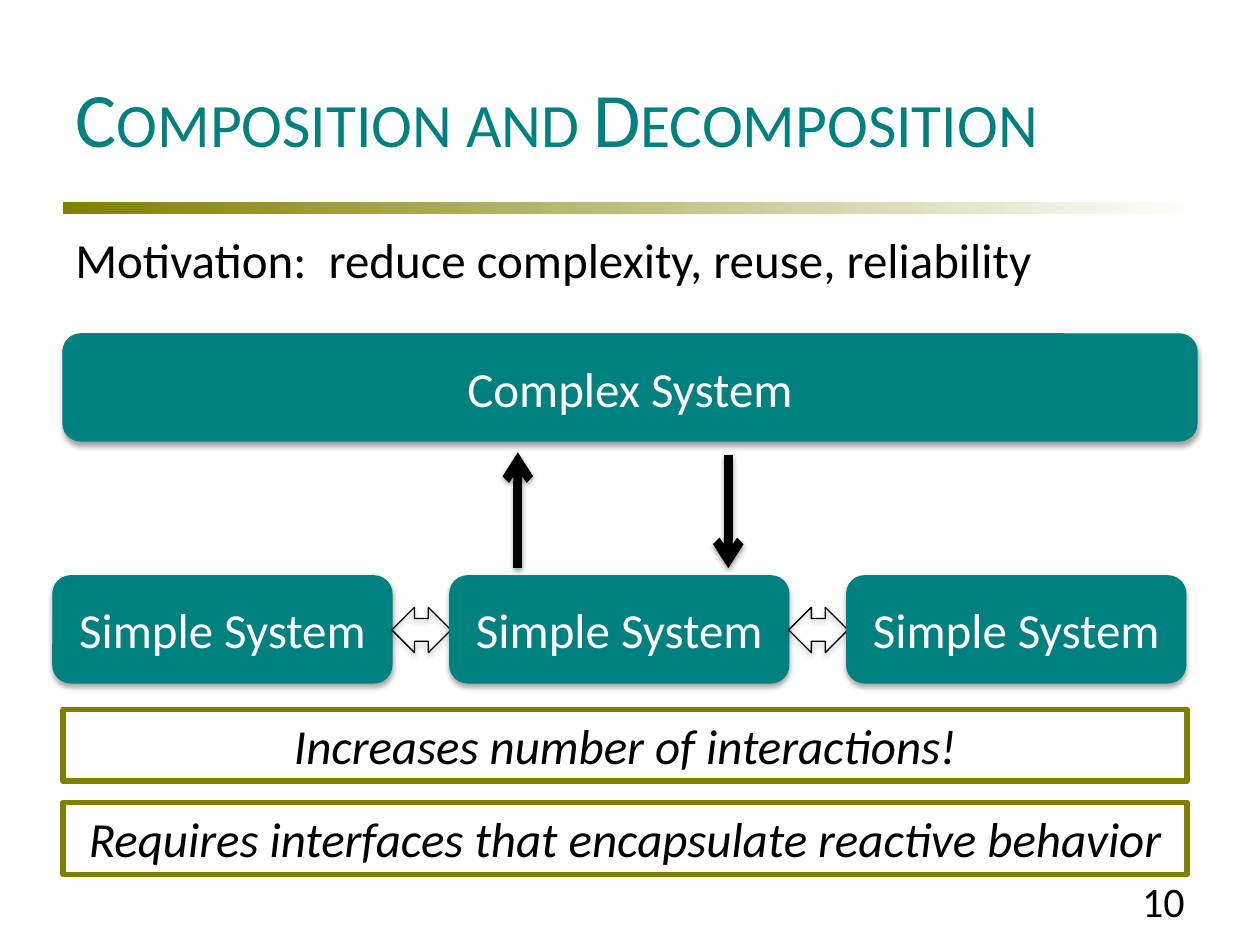
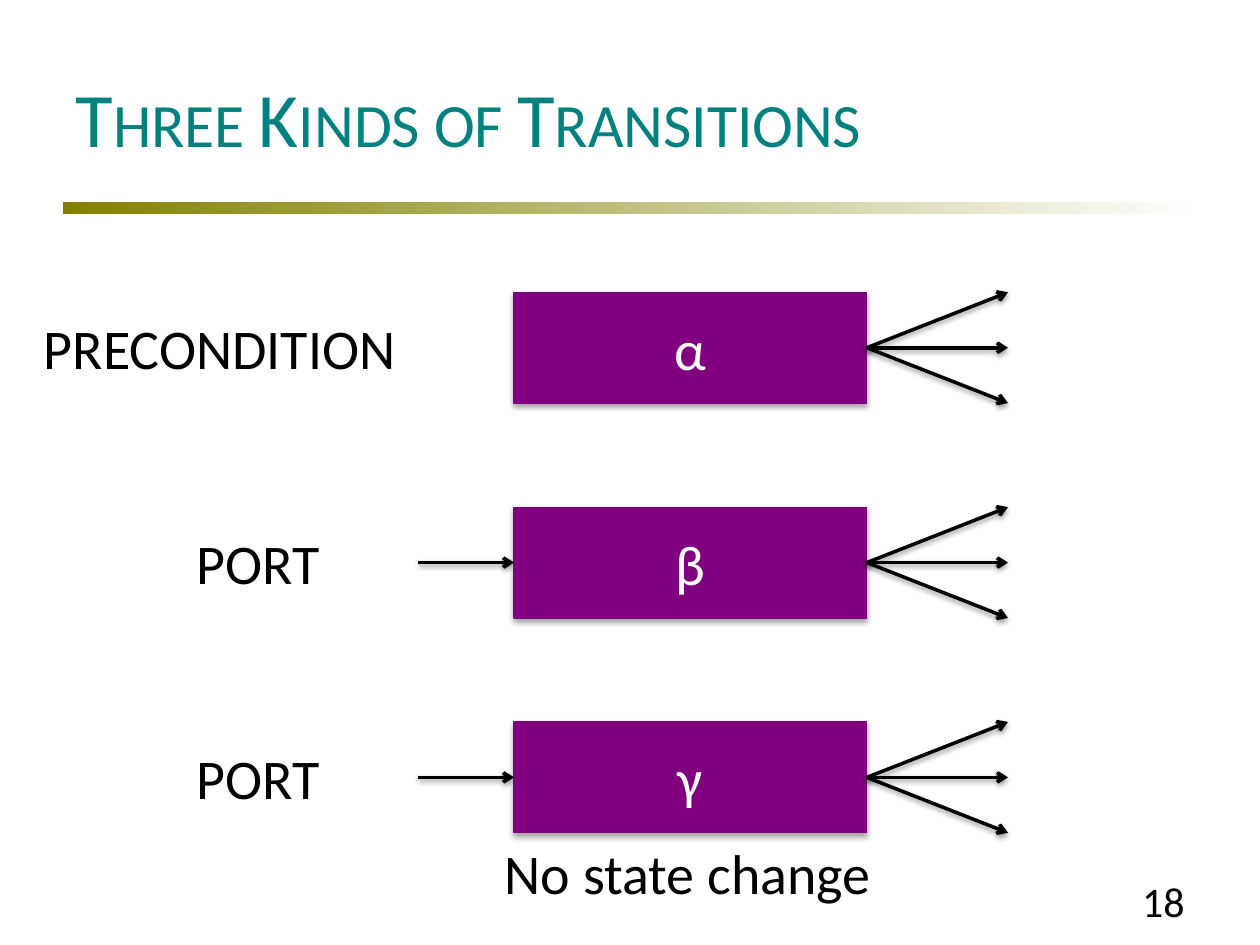
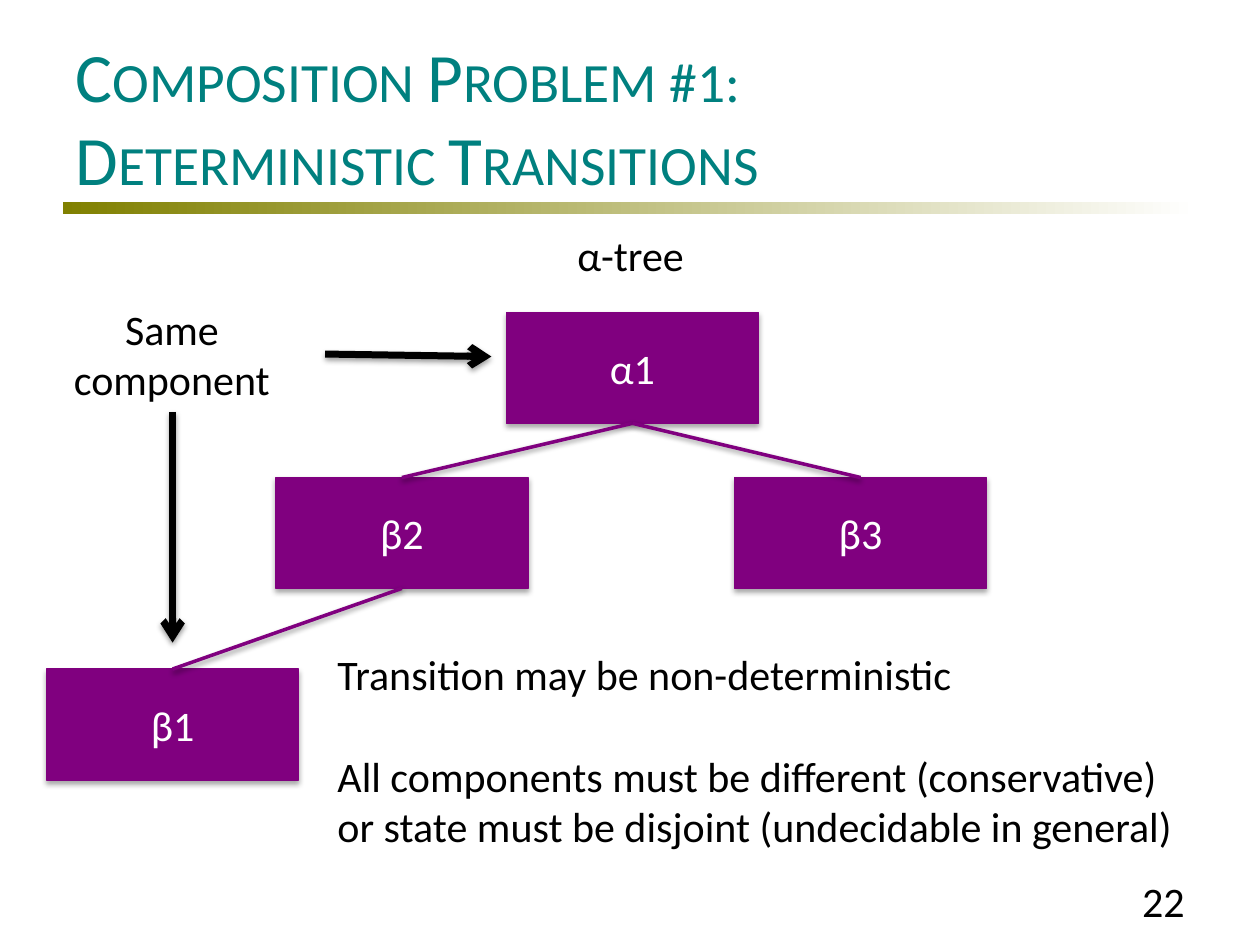
import pptx
import pptx.util
import pptx.dml.color
import pptx.enum.shapes
import pptx.enum.text
import pptx.oxml.ns
import lxml.etree

Inches = pptx.util.Inches
Pt = pptx.util.Pt
RGB = pptx.dml.color.RGBColor.from_string
qn = pptx.oxml.ns.qn
SHAPE = pptx.enum.shapes.MSO_SHAPE
ALIGN = pptx.enum.text.PP_ALIGN
ANCHOR = pptx.enum.text.MSO_ANCHOR

COLORS = {"teal": "00807F", "olive": "808000", "purple": "80007F",
          "black": "000000", "white": "FFFFFF"}
FONT = "Calibri"
TOP, LEFT, BOTTOM, RIGHT = range(4)


def add_box(slide, at, text="", size=24, kind=None, fill=None, border=None, border_width=0.75,
            color="black", align=ALIGN.CENTER, anchor=ANCHOR.TOP, italic=False,
            shadow=False, gap=0):
    """Add a text box, or a preset shape when a kind is given."""
    place = [Inches(length) for length in at]
    if kind is None:
        box = slide.shapes.add_textbox(*place)
    else:
        box = slide.shapes.add_shape(kind, *place)
        box.shadow.inherit = False
        if fill:
            box.fill.solid()
            box.fill.fore_color.rgb = RGB(COLORS[fill])
        else:
            box.fill.background()
        box.line.color.rgb = RGB(COLORS[border or fill])
        box.line.width = Pt(border_width)
    if shadow:
        effects = box.element.spPr.find(qn("a:effectLst"))
        outer = lxml.etree.SubElement(effects, qn("a:outerShdw"), blurRad="40000", dist="23000",
                                      dir="5400000", rotWithShape="0")
        shade = lxml.etree.SubElement(outer, qn("a:srgbClr"), val=COLORS["black"])
        lxml.etree.SubElement(shade, qn("a:alpha"), val="35000")
    if text:
        frame = box.text_frame
        frame.word_wrap = True
        frame.vertical_anchor = anchor
        frame.text = text
        for number, paragraph in enumerate(frame.paragraphs):
            paragraph.alignment = align
            paragraph.space_before = Pt(gap if number else 0)
            paragraph.font.name = FONT
            paragraph.font.size = Pt(size)
            paragraph.font.italic = italic
            paragraph.font.color.rgb = RGB(COLORS[color])
    return box


def add_line(slide, start, end, width, color="black", arrow=True):
    """Add a straight line with a soft shadow; ends are points or (box, side) pairs."""
    points = [(0, 0) if hasattr(stop[0], "shape_id") else stop for stop in (start, end)]
    line = slide.shapes.add_connector(pptx.enum.shapes.MSO_CONNECTOR.STRAIGHT,
                                      *[Inches(length) for point in points for length in point])
    for stop, connect in ((start, line.begin_connect), (end, line.end_connect)):
        if hasattr(stop[0], "shape_id"):
            connect(*stop)
    line.line.color.rgb = RGB(COLORS[color])
    line.line.width = Pt(width)
    properties = line.element.spPr
    if arrow:
        lxml.etree.SubElement(properties.find(qn("a:ln")), qn("a:tailEnd"), type="arrow")
    effects = lxml.etree.SubElement(properties, qn("a:effectLst"))
    outer = lxml.etree.SubElement(effects, qn("a:outerShdw"), blurRad="40000", dist="20000",
                                  dir="5400000", rotWithShape="0")
    shade = lxml.etree.SubElement(outer, qn("a:srgbClr"), val=COLORS["black"])
    lxml.etree.SubElement(shade, qn("a:alpha"), val="38000")


deck = pptx.Presentation()
deck.slide_width, deck.slide_height = Inches(10), Inches(7.5)

# Shared frame: title, fading band, page number
slides = []
for heading, heading_size, page in (
        ("Composition and Decomposition", 44, "10"),
        ("Three Kinds of Transitions", 44, "18"),
        ("Composition Problem #1:\vDeterministic Transitions", 39.6, "22")):
    slide = deck.slides.add_slide(deck.slide_layouts[5])
    slides.append(slide)

    band = add_box(slide, (0.5, 1.6, 9, 0.1), kind=SHAPE.RECTANGLE, fill="olive")
    band.line.fill.background()
    band.fill.gradient()
    band.fill.gradient_angle = 0
    for stop, position, color in zip(band.fill.gradient_stops, (0, 1), ("olive", "white")):
        stop.position = position
        stop.color.rgb = RGB(COLORS[color])

    title = slide.shapes.title
    title.left, title.top, title.width, title.height = map(Inches, (0.5, 0.3, 9, 1.25))
    title.text_frame.text = heading
    title.text_frame.auto_size = pptx.enum.text.MSO_AUTO_SIZE.NONE
    title.text_frame.vertical_anchor = ANCHOR.MIDDLE
    wording = title.text_frame.paragraphs[0]
    wording.alignment = ALIGN.LEFT
    wording.font.name = FONT
    wording.font.size = Pt(heading_size)
    wording.font.color.rgb = RGB(COLORS["teal"])
    for style in title.element.iter(qn("a:defRPr")):
        style.set("cap", "small")

    add_box(slide, (7.17, 6.95, 2.33, 0.4), page, align=ALIGN.RIGHT, anchor=ANCHOR.MIDDLE)

composition, transitions, problem = slides

# Composition: one complex system over three simple ones
add_box(composition, (0.5, 1.77, 8.92, 0.57),
        "Motivation:  reduce complexity, reuse, reliability", 28, align=ALIGN.LEFT)
system = dict(size=28, kind=SHAPE.ROUNDED_RECTANGLE, fill="teal", color="white",
              anchor=ANCHOR.MIDDLE, shadow=True)
add_box(composition, (0.5, 2.65, 9, 0.85), "Complex System", **system)
add_line(composition, (4.11, 4.51), (4.11, 3.59), 5)
add_line(composition, (5.78, 3.61), (5.78, 4.51), 5)
for column in range(3):
    system_left = 0.42 + 3.15 * column
    add_box(composition, (system_left, 4.57, 2.69, 0.85), "Simple System", **system)
    if column < 2:
        add_box(composition, (system_left + 2.69, 4.82, 0.47, 0.36),
                kind=SHAPE.LEFT_RIGHT_ARROW, border="black", shadow=True)
for top, consequence in ((5.63, "Increases number of interactions!"),
                         (6.37, "Requires interfaces that encapsulate reactive behavior")):
    add_box(composition, (0.5, top, 8.92, 0.57), consequence, 28, kind=SHAPE.RECTANGLE,
            border="olive", border_width=3, italic=True)

# Transitions: one row for each kind
node = dict(kind=SHAPE.RECTANGLE, fill="purple", color="white", anchor=ANCHOR.MIDDLE, shadow=True)
label_right = 3.32
for row, (trigger, symbol, label_width) in enumerate((
        ("PRECONDITION", "α", 3.15), ("PORT", "β", 2.54), ("PORT", "γ", 2.54))):
    top = 2.32 + 1.705 * row
    middle = top + 0.44
    transition = add_box(transitions, (4.08, top, 2.8, 0.88), symbol, 32, **node)
    add_box(transitions, (label_right - label_width, top + 0.12, label_width, 0.64), trigger, 32)
    if trigger == "PORT":
        add_line(transitions, (label_right, middle), (transition, LEFT), 2)
    for rise in (0, -0.44, 0.44):
        add_line(transitions, (transition, RIGHT), (8, middle + rise), 2)
add_box(transitions, (3.74, 6.61, 3.54, 0.64), "No state change ", 32)

# Problem: transition tree with a repeated component
add_box(problem, (0.15, 2.36, 2.43, 0.91), "Same component")
add_line(problem, (1.37, 3.27), (1.37, 5.1), 4)
add_line(problem, (2.58, 2.81), (3.9, 2.83), 4)
add_box(problem, (2.58, 5.1, 6.92, 1.72),
        "Transition may be non-deterministic\n"
        "All components must be different (conservative) "
        "or state must be disjoint (undecidable in general)", align=ALIGN.LEFT, gap=29.3)
add_box(problem, (3.79, 1.77, 2.43, 0.5), "α-tree")
tree = {name: add_box(problem, (left, top, 2, 0.88), name, **node)
        for name, left, top in (("β2", 2.19, 3.79), ("β3", 5.83, 3.79),
                                ("α1", 4.02, 2.48), ("β1", 0.37, 5.31))}
for parent, child in (("β2", "β1"), ("α1", "β2"), ("α1", "β3")):
    add_line(problem, (tree[parent], BOTTOM), (tree[child], TOP), 2, "purple", arrow=False)

deck.save("out.pptx")
